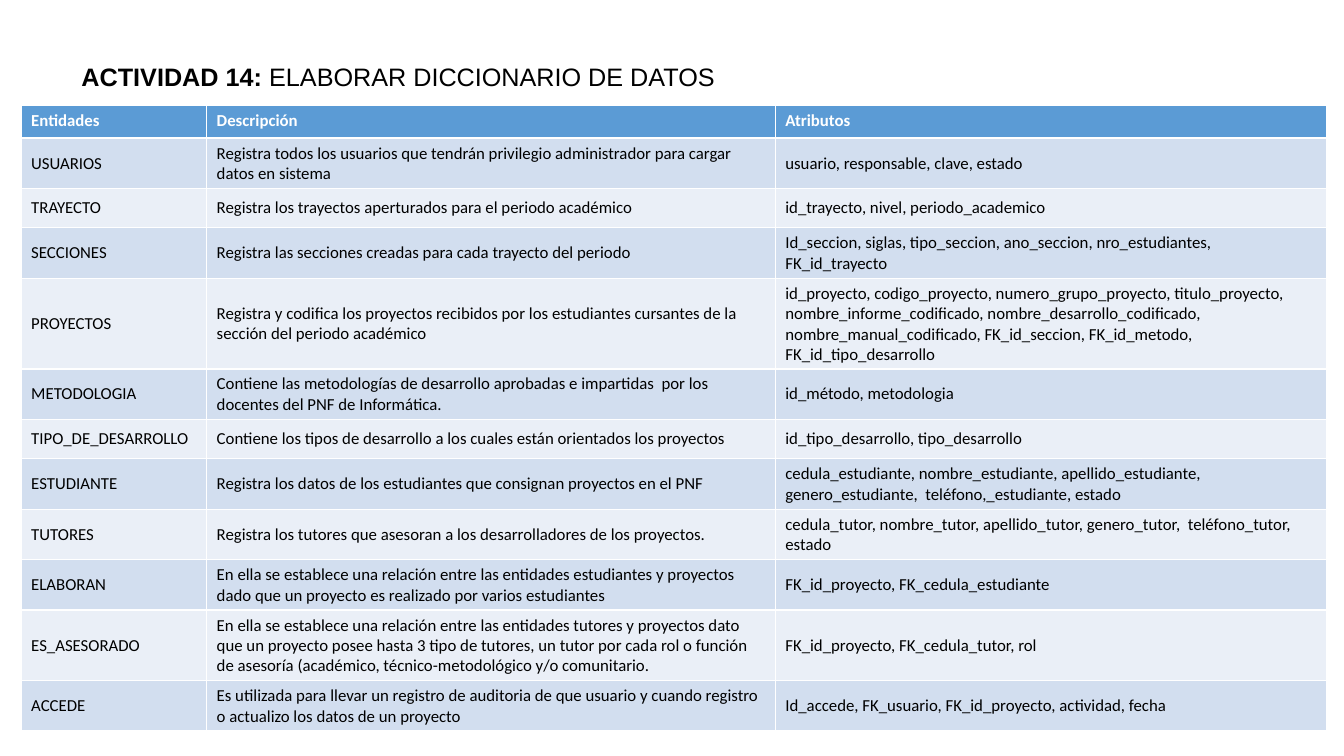
from pptx import Presentation
from pptx.dml.color import RGBColor
from pptx.enum.text import MSO_ANCHOR, MSO_AUTO_SIZE
from pptx.util import Inches, Pt

BLACK = RGBColor(0x00, 0x00, 0x00)
WHITE = RGBColor(0xFF, 0xFF, 0xFF)
HEADER_BLUE = RGBColor(0x5B, 0x9B, 0xD5)
BAND_DARK = RGBColor(0xD2, 0xDE, 0xEF)
BAND_LIGHT = RGBColor(0xEA, 0xEF, 0xF7)

COLUMN_WIDTHS = [1.84, 5.64, 5.47]
HEADER_HEIGHT = 0.32
ROW_HEIGHT = 0.39

ENTITIES = [
    ("Entidades", "Descripción", "Atributos"),
    ("USUARIOS",
     "Registra todos los usuarios que tendrán privilegio administrador para cargar "
     "datos en sistema",
     "usuario, responsable, clave, estado"),
    ("TRAYECTO",
     "Registra los trayectos aperturados para el periodo académico",
     "id_trayecto, nivel, periodo_academico"),
    ("SECCIONES",
     "Registra las secciones creadas para cada trayecto del periodo",
     "Id_seccion, siglas, tipo_seccion, ano_seccion, nro_estudiantes, FK_id_trayecto"),
    ("PROYECTOS",
     "Registra y codifica los proyectos recibidos por los estudiantes cursantes de la "
     "sección del periodo académico",
     "id_proyecto, codigo_proyecto, numero_grupo_proyecto, titulo_proyecto, "
     "nombre_informe_codificado, nombre_desarrollo_codificado, "
     "nombre_manual_codificado, FK_id_seccion, FK_id_metodo, FK_id_tipo_desarrollo"),
    ("METODOLOGIA",
     "Contiene las metodologías de desarrollo aprobadas e impartidas  por los "
     "docentes del PNF de Informática.",
     "id_método, metodologia"),
    ("TIPO_DE_DESARROLLO",
     "Contiene los tipos de desarrollo a los cuales están orientados los proyectos",
     "id_tipo_desarrollo, tipo_desarrollo"),
    ("ESTUDIANTE",
     "Registra los datos de los estudiantes que consignan proyectos en el PNF",
     "cedula_estudiante, nombre_estudiante, apellido_estudiante, "
     "genero_estudiante,  teléfono,_estudiante, estado"),
    ("TUTORES",
     "Registra los tutores que asesoran a los desarrolladores de los proyectos.",
     "cedula_tutor, nombre_tutor, apellido_tutor, genero_tutor,  teléfono_tutor, estado"),
    ("ELABORAN",
     "En ella se establece una relación entre las entidades estudiantes y proyectos "
     "dado que un proyecto es realizado por varios estudiantes",
     "FK_id_proyecto, FK_cedula_estudiante"),
    ("ES_ASESORADO",
     "En ella se establece una relación entre las entidades tutores y proyectos dato "
     "que un proyecto posee hasta 3 tipo de tutores, un tutor por cada rol o función "
     "de asesoría (académico, técnico-metodológico y/o comunitario.",
     "FK_id_proyecto, FK_cedula_tutor, rol"),
    ("ACCEDE",
     "Es utilizada para llevar un registro de auditoria de que usuario y cuando "
     "registro o actualizo los datos de un proyecto",
     "Id_accede, FK_usuario, FK_id_proyecto, actividad, fecha"),
]

deck = Presentation()
deck.slide_width = Inches(13.33)
deck.slide_height = Inches(7.5)
page = deck.slides.add_slide(deck.slide_layouts[6])

# Title
title_box = page.shapes.add_textbox(Inches(0.71), Inches(0.56), Inches(6.55), Inches(0.4))
title_box.text_frame.word_wrap = False
title_box.text_frame.auto_size = MSO_AUTO_SIZE.SHAPE_TO_FIT_TEXT
para = title_box.text_frame.paragraphs[0]
para.font.name = "Arial"
para.font.size = Pt(18)
para.font.color.rgb = BLACK
for text, bold in [("ACTIVIDAD 14: ", True), ("ELABORAR DICCIONARIO DE DATOS", False)]:
    span = para.add_run()
    span.text = text
    span.font.bold = bold

# Data dictionary table; the default table style draws its white borders
table_height = HEADER_HEIGHT + ROW_HEIGHT * (len(ENTITIES) - 1)
table = page.shapes.add_table(
    len(ENTITIES), len(COLUMN_WIDTHS), Inches(0.21), Inches(1.05),
    Inches(sum(COLUMN_WIDTHS)), Inches(table_height)).table
for column, width in zip(table.columns, COLUMN_WIDTHS):
    column.width = Inches(width)

for row_index, entity in enumerate(ENTITIES):
    is_header = row_index == 0
    table.rows[row_index].height = Inches(HEADER_HEIGHT if is_header else ROW_HEIGHT)
    if is_header:
        row_fill = HEADER_BLUE
    else:
        row_fill = BAND_DARK if row_index % 2 else BAND_LIGHT
    for column_index, text in enumerate(entity):
        cell = table.cell(row_index, column_index)
        cell.text = text
        cell.fill.solid()
        cell.fill.fore_color.rgb = row_fill
        cell.vertical_anchor = MSO_ANCHOR.TOP if is_header else MSO_ANCHOR.MIDDLE
        font = cell.text_frame.paragraphs[0].font
        font.name = "Calibri"
        font.size = Pt(12)
        font.bold = is_header
        font.color.rgb = WHITE if is_header else BLACK

deck.save("out.pptx")
